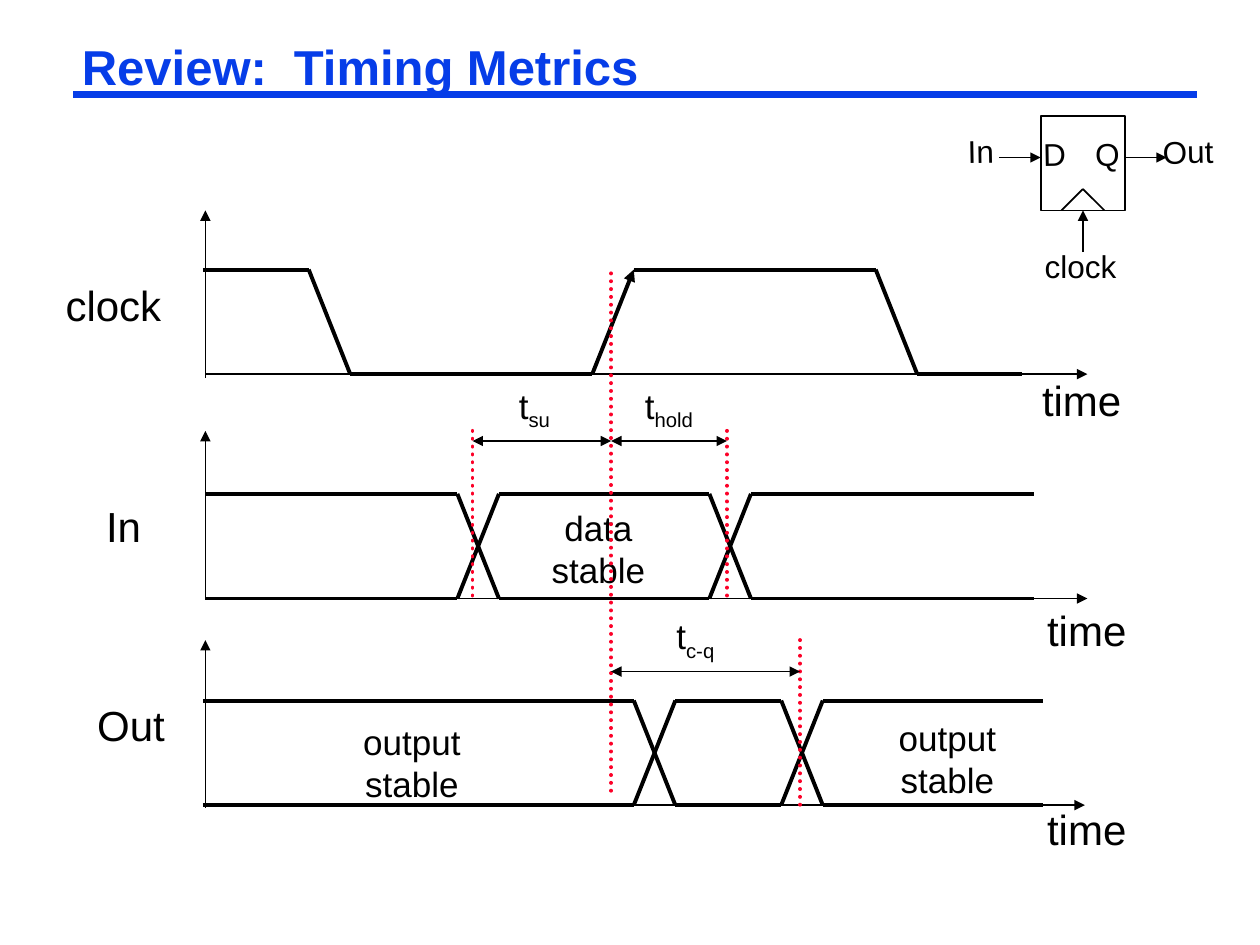
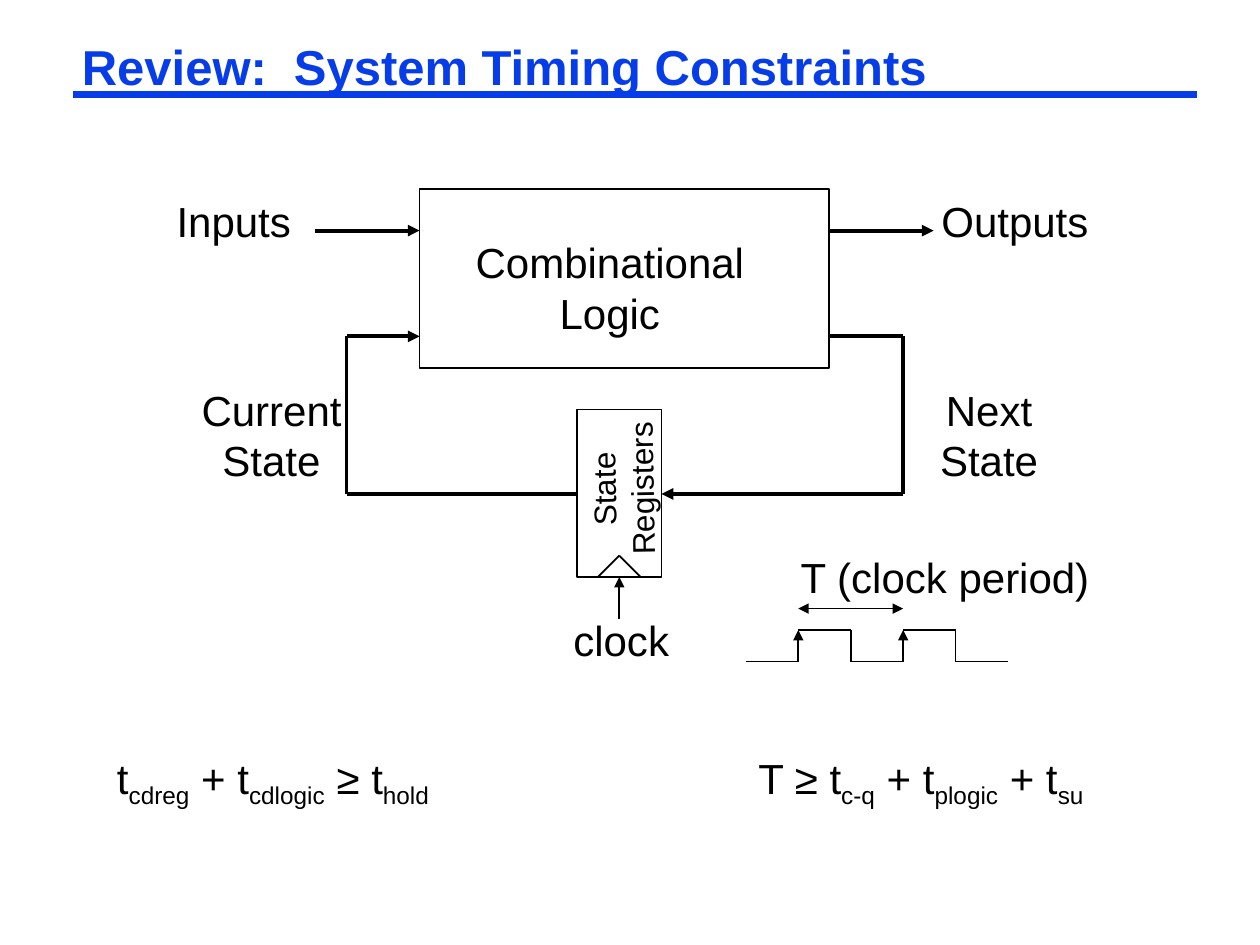
import dataclasses
import itertools

import pptx
import pptx.dml.color
import pptx.enum.dml
import pptx.enum.shapes
import pptx.enum.text
import pptx.oxml.ns
import pptx.slide
import pptx.util
from lxml import etree

Inches = pptx.util.Inches
BLACK = pptx.dml.color.RGBColor(0x00, 0x00, 0x00)
BLUE = pptx.dml.color.RGBColor(0x06, 0x3D, 0xE8)
RED = pptx.dml.color.RGBColor(0xFC, 0x01, 0x28)

FONT = "Arial"
CENTER = pptx.enum.text.PP_ALIGN.CENTER
LEFT = pptx.enum.text.PP_ALIGN.LEFT
THIN, THICK = 1, 2.25
SLOPE = 0.33  # width of a signal transition
SWING = 0.83  # height between the low and the high level
TITLE_FRAME = {
    "margin_left": Inches(0.07), "margin_right": Inches(0.07),
    "margin_top": Inches(0.03), "margin_bottom": Inches(0.03),
    "word_wrap": True,
    "vertical_anchor": pptx.enum.text.MSO_ANCHOR.BOTTOM,
}
LABEL_FRAME = {
    "word_wrap": False,
    "auto_size": pptx.enum.text.MSO_AUTO_SIZE.SHAPE_TO_FIT_TEXT,
}


def set_all(target, values):
    for name, value in values.items():
        setattr(target, name, value)


def write_run(paragraph, text, size, color=BLACK, bold=False, subscript=False):
    run = paragraph.add_run()
    run.text = text
    set_all(run.font, {"name": FONT, "size": pptx.util.Pt(size), "bold": bold})
    run.font.color.rgb = color
    if subscript:
        run._r.get_or_add_rPr().set("baseline", "-25000")


@dataclasses.dataclass
class Region:
    """Part of a slide; all positions are inches from its top left corner."""
    slide: pptx.slide.Slide
    left: float
    top: float

    def place(self, x, y):
        return Inches(self.left + x), Inches(self.top + y)

    def line(self, start, end, width=THIN, color=BLACK, arrows=(), dash=None):
        connector = self.slide.shapes.add_connector(
            pptx.enum.shapes.MSO_CONNECTOR.STRAIGHT,
            *self.place(*start), *self.place(*end))
        connector.line.width = pptx.util.Pt(width)
        connector.line.color.rgb = color
        properties = connector._element.spPr
        outline = properties.find(pptx.oxml.ns.qn("a:ln"))
        if dash:
            connector.line.dash_style = dash
            outline.set("cap", "rnd")
        for arrow in arrows:
            etree.SubElement(outline, pptx.oxml.ns.qn("a:" + arrow), type="triangle")
        etree.SubElement(properties, pptx.oxml.ns.qn("a:effectLst"))

    def trace(self, points, width=THICK, arrow_segments=()):
        """Join the points; the numbered segments end in an arrowhead."""
        for index, (start, end) in enumerate(itertools.pairwise(points)):
            arrows = ["tailEnd"] if index in arrow_segments else []
            self.line(start, end, width, arrows=arrows)

    def label(self, text, x, y, width, height, size=24, align=CENTER, rotation=0):
        """Write one paragraph per line; text between bars is subscript."""
        box = self.slide.shapes.add_textbox(
            *self.place(x, y), Inches(width), Inches(height))
        box.rotation = rotation
        frame = box.text_frame
        set_all(frame, LABEL_FRAME)
        for index, content in enumerate(text.split("\n")):
            paragraph = frame.add_paragraph() if index else frame.paragraphs[0]
            paragraph.alignment = align
            for part, piece in enumerate(content.split("|")):
                if piece:
                    write_run(paragraph, piece, size, subscript=part % 2 == 1)

    def box(self, x, y, width, height):
        shape = self.slide.shapes.add_shape(
            pptx.enum.shapes.MSO_SHAPE.RECTANGLE,
            *self.place(x, y), Inches(width), Inches(height))
        shape.shadow.inherit = False
        shape.fill.background()
        shape.line.color.rgb = BLACK
        shape.line.width = pptx.util.Pt(THIN)


def add_titled_slide(presentation, title):
    slide = presentation.slides.add_slide(presentation.slide_layouts[6])
    header = Region(slide, 0.58, 0.33)
    header.line((0, 0.42), (8.92, 0.42), 4.5, BLUE)
    box = slide.shapes.add_textbox(
        *header.place(0, 0), Inches(8.92), Inches(0.46))
    set_all(box.text_frame, TITLE_FRAME)
    paragraph = box.text_frame.paragraphs[0]
    paragraph.line_spacing = 0.87
    write_run(paragraph, title, 28, BLUE, bold=True)
    return slide


def draw_register(region, height, width=0.67):
    """Clocked box with its clock notch and clock arrow."""
    middle = width / 2
    region.box(0, 0, width, height)
    region.trace([(middle - 0.17, height), (middle, height - 0.17),
                  (middle + 0.17, height)], THIN)
    region.line((middle, height + 0.33), (middle, height), arrows=["tailEnd"])


# Timing metrics
def draw_axes(region, base, start=0.0):
    region.line((0.02, 1.33), (0.02, 0), arrows=["tailEnd"])
    region.line((start, base), (start + 7, base), arrows=["tailEnd"])


def draw_clock_row(region):
    low, high = 1.3, 0.47
    draw_axes(region, low, 0.02)
    points = [(0, high)]
    for x, before, after in [(0.84, high, low), (3.09, low, high),
                             (5.34, high, low)]:
        points += [(x, before), (x + SLOPE, after)]
    region.trace(points + [(6.5, low)], arrow_segments=[3])
    region.label("clock", -1.19, 0.5, 0.96, 0.5)
    region.label("time", 6.56, 1.25, 0.83, 0.5)


def draw_bus_row(region, base, start, crossings, end):
    """Two rails that swap at each crossing."""
    draw_axes(region, base, start)
    levels = base - SWING, base
    starts = [start] + [x + SLOPE for x in crossings]
    for (x1, x2), y in itertools.product(zip(starts, crossings + [end]), levels):
        region.line((x1, y), (x2, y), THICK)
    for x in crossings:
        for y1, y2 in itertools.permutations(levels):
            region.line((x, y1), (x + SLOPE, y2), THICK)


def draw_in_row(region):
    draw_bus_row(region, 1.33, 0.02, [2.02, 4.02], 6.6)
    region.label("In", -0.87, 0.5, 0.48, 0.5)
    region.label("data\nstable", 2.62, 0.55, 1.04, 0.77, 20)
    region.label("time", 6.6, 1.33, 0.83, 0.5)


def draw_out_row(region):
    draw_bus_row(region, 1.31, 0, [3.42, 4.59], 6.67)
    region.label("Out", -0.94, 0.42, 0.74, 0.5)
    region.label("output\nstable", 1.11, 0.59, 1.1, 0.77, 20)
    region.label("output\nstable", 5.36, 0.56, 1.1, 0.77, 20)
    region.label("time", 6.6, 1.25, 0.83, 0.5)


def draw_flip_flop(region):
    draw_register(region, 0.75)
    for x in (-0.33, 0.67):
        region.line((x, 0.33), (x + 0.33, 0.33), arrows=["tailEnd"])
    for text, x, y, width in [("D", -0.08, 0.1, 0.38), ("Q", 0.33, 0.1, 0.4),
                              ("In", -0.68, 0.08, 0.41), ("Out", 0.87, 0.08, 0.6)]:
        region.label(text, x, y, width, 0.4, 18, rotation=359)
    region.label("clock", -0.07, 0.99, 0.77, 0.4, 18)


def draw_measures(region):
    """Dotted edges with the intervals counted from the clock edge."""
    dotted = {"width": THICK, "color": RED,
              "dash": pptx.enum.dml.MSO_LINE.ROUND_DOT}
    clock_edge = 1.1
    region.line((clock_edge, 0), (clock_edge, 4.16), **dotted)
    for text, edge, top, arrow_y, label_x, label_y, width in [
            ("t|su", 0, 1.25, 1.33, 0.27, 0.83, 0.47),
            ("t|hold", 2.02, 1.25, 1.33, 1.27, 0.83, 0.62),
            ("t|c-q", 2.6, 2.91, 3.16, 1.52, 2.66, 0.53)]:
        region.line((edge, top), (edge, top + 1.33), **dotted)
        start, end = sorted([edge, clock_edge])
        region.line((start, arrow_y), (end, arrow_y), arrows=["headEnd", "tailEnd"])
        region.label(text, label_x, label_y, width, 0.43, 20, LEFT)


def add_metrics_slide(presentation):
    slide = add_titled_slide(presentation, "Review:  Timing Metrics")
    draw_clock_row(Region(slide, 1.61, 1.67))
    draw_in_row(Region(slide, 1.61, 3.42))
    draw_out_row(Region(slide, 1.61, 5.08))
    draw_flip_flop(Region(slide, 8.26, 0.92))
    draw_measures(Region(slide, 3.75, 2.17))


# System timing constraints
def draw_logic(region):
    region.box(0, 0, 3.25, 1.42)
    region.label("Combinational\nLogic", 0.34, 0.33, 2.34, 0.9)
    for x in (-0.83, 3.25):
        region.line((x, 0.33), (x + 0.83, 0.33), THICK, arrows=["tailEnd"])
    region.label("Inputs", -2.03, 0, 1.11, 0.5)
    region.label("Outputs", 4.04, 0, 1.37, 0.5)


def draw_state_loop(region):
    """State register and its wires up to the logic block."""
    draw_register(region, 1.33)
    region.label("State\nRegisters", -0.27, 0.28, 1.26, 0.7, 18, rotation=269)
    region.label("clock", -0.13, 1.58, 0.96, 0.5)
    wire_y, logic_y = 0.67, -0.58
    region.trace([(2, logic_y), (2.59, logic_y), (2.59, wire_y), (0.67, wire_y)],
                 arrow_segments=[2])
    region.trace([(0, wire_y), (-1.83, wire_y), (-1.83, logic_y), (-1.25, logic_y)],
                 arrow_segments=[2])
    region.label("Next\nState", 2.78, -0.25, 0.98, 0.9)
    region.label("Current\nState", -3.08, -0.25, 1.31, 0.9)


def draw_clock_period(region):
    step, low, high = 2.08 / 5, 0.92, 0.67
    points = [(0, low)]
    for index in range(1, 5):
        levels = (low, high) if index % 2 else (high, low)
        points += [(index * step, level) for level in levels]
    region.trace(points + [(5 * step, low)], THIN, arrow_segments=[1, 5])
    region.line((step, 0.5), (3 * step, 0.5), arrows=["headEnd", "tailEnd"])
    region.label("T (clock period)", 0.33, 0, 2.5, 0.5)


def draw_constraints(region):
    region.label("t|cdreg| + t|cdlogic| ≥ t|hold", 0, 0, 2.89, 0.5, align=LEFT)
    region.label("T ≥ t|c-q| + t|plogic| + t|su", 5.09, 0, 2.93, 0.5, align=LEFT)


def add_constraints_slide(presentation):
    slide = add_titled_slide(presentation, "Review:  System Timing Constraints")
    draw_logic(Region(slide, 3.33, 1.5))
    draw_state_loop(Region(slide, 4.58, 3.25))
    draw_clock_period(Region(slide, 5.92, 4.33))
    draw_constraints(Region(slide, 0.83, 5.92))


def main():
    presentation = pptx.Presentation()
    set_all(presentation, {"slide_width": Inches(10), "slide_height": Inches(7.5)})
    add_metrics_slide(presentation)
    add_constraints_slide(presentation)
    presentation.save("out.pptx")


if __name__ == "__main__":
    main()
